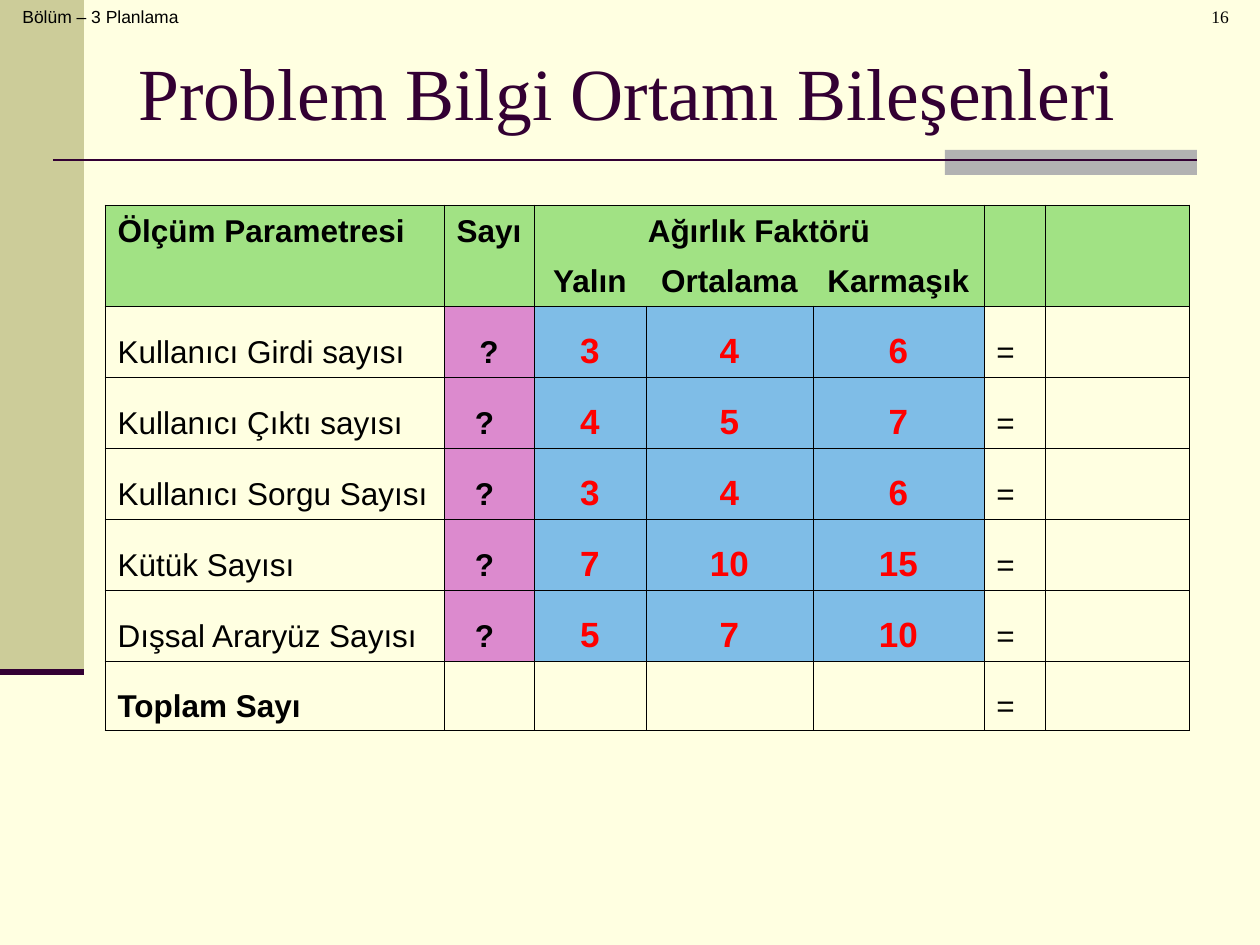
"""Builds the slide on problem information domain components."""
from lxml import etree
from pptx import Presentation
from pptx import util as u
from pptx.dml.color import RGBColor
from pptx.enum import shapes, text
from pptx.oxml.ns import qn

SCALE = 914400 / 126
COLORS = {
    "paper": "FFFFE1", "khaki": "CCCC99", "gray": "B2B2B2", "plum": "330033",
    "black": "000000", "red": "FF0000",
    "green": "A1E284", "pink": "DC8ACE", "blue": "7FBDE7",
}
LEFT, CENTER = text.PP_ALIGN.LEFT, text.PP_ALIGN.CENTER
TOP, MIDDLE, BOTTOM = text.MSO_ANCHOR.TOP, text.MSO_ANCHOR.MIDDLE, text.MSO_ANCHOR.BOTTOM
SANS, SERIF = "Arial", "Times New Roman"


def px(n):
    return u.Emu(round(n * SCALE))


def rgb(name):
    return RGBColor.from_string(COLORS[name])


class Deck:
    def __init__(self, width, height):
        self.prs = Presentation()
        self.prs.slide_width, self.prs.slide_height = px(width), px(height)
        self.s = self.prs.slides.add_slide(self.prs.slide_layouts[6])
        self.s.background.fill.solid()
        self.s.background.fill.fore_color.rgb = rgb("paper")

    def rect(self, x, y, w, h, color):
        sp = self.s.shapes.add_shape(shapes.MSO_SHAPE.RECTANGLE, px(x), px(y), px(w), px(h))
        sp.shadow.inherit = False
        sp.fill.solid()
        sp.fill.fore_color.rgb = rgb(color)
        sp.line.fill.background()

    def line(self, x1, y1, x2, y2, color, width):
        cx = self.s.shapes.add_connector(
            shapes.MSO_CONNECTOR.STRAIGHT, px(x1), px(y1), px(x2), px(y2))
        cx.line.color.rgb = rgb(color)
        cx.line.width = u.Pt(width)
        etree.SubElement(cx._element.spPr, qn("a:effectLst"))

    def run(self, p, words, size, font=SANS, color="black", bold=False,
            align=LEFT, margin=0, indent=0):
        p.alignment = align
        pPr = p._p.get_or_add_pPr()
        pPr.set("marL", str(px(margin)))
        pPr.set("indent", str(px(indent)))
        r = p.add_run()
        r.text = words
        r.font.size, r.font.name, r.font.bold = u.Pt(size), font, bold
        r.font.color.rgb = rgb(color)

    def text(self, x, y, w, h, words, size, anchor=TOP, **style):
        tf = self.s.shapes.add_textbox(px(x), px(y), px(w), px(h)).text_frame
        tf.word_wrap = True
        tf.vertical_anchor = anchor
        self.run(tf.paragraphs[0], words, size, **style)

    def table(self, x, y, cols, rows):
        tbl = self.s.shapes.add_table(
            len(rows), len(cols), px(x), px(y), px(sum(cols)), px(sum(rows))).table
        tbl.first_row = tbl.horz_banding = False
        for col, w in zip(tbl.columns, cols):
            col.width = px(w)
        for row, h in zip(tbl.rows, rows):
            row.height = px(h)
        return tbl

    def cell(self, cell, words, fill=None, edges="LRTB", size=18, **style):
        tcPr = cell._tc.get_or_add_tcPr()
        for side in "LRTB":
            ln = etree.SubElement(tcPr, qn("a:ln" + side), w=str(u.Pt(0.45)))
            if side in edges:
                paint = etree.SubElement(ln, qn("a:solidFill"))
                etree.SubElement(paint, qn("a:srgbClr"), val=COLORS["black"])
            else:
                etree.SubElement(ln, qn("a:noFill"))
        if fill:
            cell.fill.solid()
            cell.fill.fore_color.rgb = rgb(fill)
        else:
            cell.fill.background()
        cell.vertical_anchor = BOTTOM
        if words:
            self.run(cell.text_frame.paragraphs[0], words, size,
                     margin=48, indent=-48, **style)


HEADERS = [
    ["Ölçüm Parametresi", "Sayı", "Ağırlık Faktörü", "", "", "", ""],
    ["", "", "Yalın", "Ortalama", "Karmaşık", "", ""],
]
HEADER_EDGES = [["LRT"] * 7, ["LRB", "LRB", "LB", "B", "RB", "LRB", "LRB"]]
PARAMETERS = [
    ("Kullanıcı Girdi sayısı", "?", 3, 4, 6),
    ("Kullanıcı Çıktı sayısı", "? ", 4, 5, 7),
    ("Kullanıcı Sorgu Sayısı", "? ", 3, 4, 6),
    ("Kütük Sayısı", "? ", 7, 10, 15),
    ("Dışsal Araryüz Sayısı", "? ", 5, 7, 10),
]


def main():
    d = Deck(1260, 945)
    d.rect(0, 0, 84, 672, "khaki")
    d.rect(945, 150, 252, 25, "gray")
    d.line(53, 160, 1197, 160, "plum", 1.5)
    d.line(0, 672, 84, 672, "plum", 3.5)
    d.text(10, 0, 412, 63, "Bölüm – 3 Planlama", 10)
    d.text(126, 38, 1071, 107, "Problem Bilgi Ortamı Bileşenleri", 42,
           anchor=MIDDLE, font=SERIF, color="plum")

    tbl = d.table(105, 205, [339, 90, 112, 167, 171, 62, 144], [50] * 2 + [71] * 5 + [70])
    tbl.cell(0, 2).merge(tbl.cell(0, 4))
    for i, (words, edges) in enumerate(zip(HEADERS, HEADER_EDGES)):
        for j in range(7):
            d.cell(tbl.cell(i, j), words[j], "green", edges[j], bold=True,
                   align=CENTER if j in (2, 3, 4) else LEFT)
    for i, (name, count, *weights) in enumerate(PARAMETERS, 2):
        d.cell(tbl.cell(i, 0), name)
        d.cell(tbl.cell(i, 1), count, "pink", bold=True, align=CENTER)
        for j, weight in enumerate(weights, 2):
            d.cell(tbl.cell(i, j), str(weight), "blue", size=20, color="red",
                   bold=True, align=CENTER)
        d.cell(tbl.cell(i, 5), "=")
        d.cell(tbl.cell(i, 6), "")
    for j, words in enumerate(["Toplam Sayı", "", "", "", "", "=", ""]):
        d.cell(tbl.cell(7, j), words, bold=j == 0)

    d.text(1106, 0, 198, 63, "16", 10, font=SERIF, align=CENTER, margin=30)
    d.prs.save("out.pptx")


if __name__ == "__main__":
    main()
